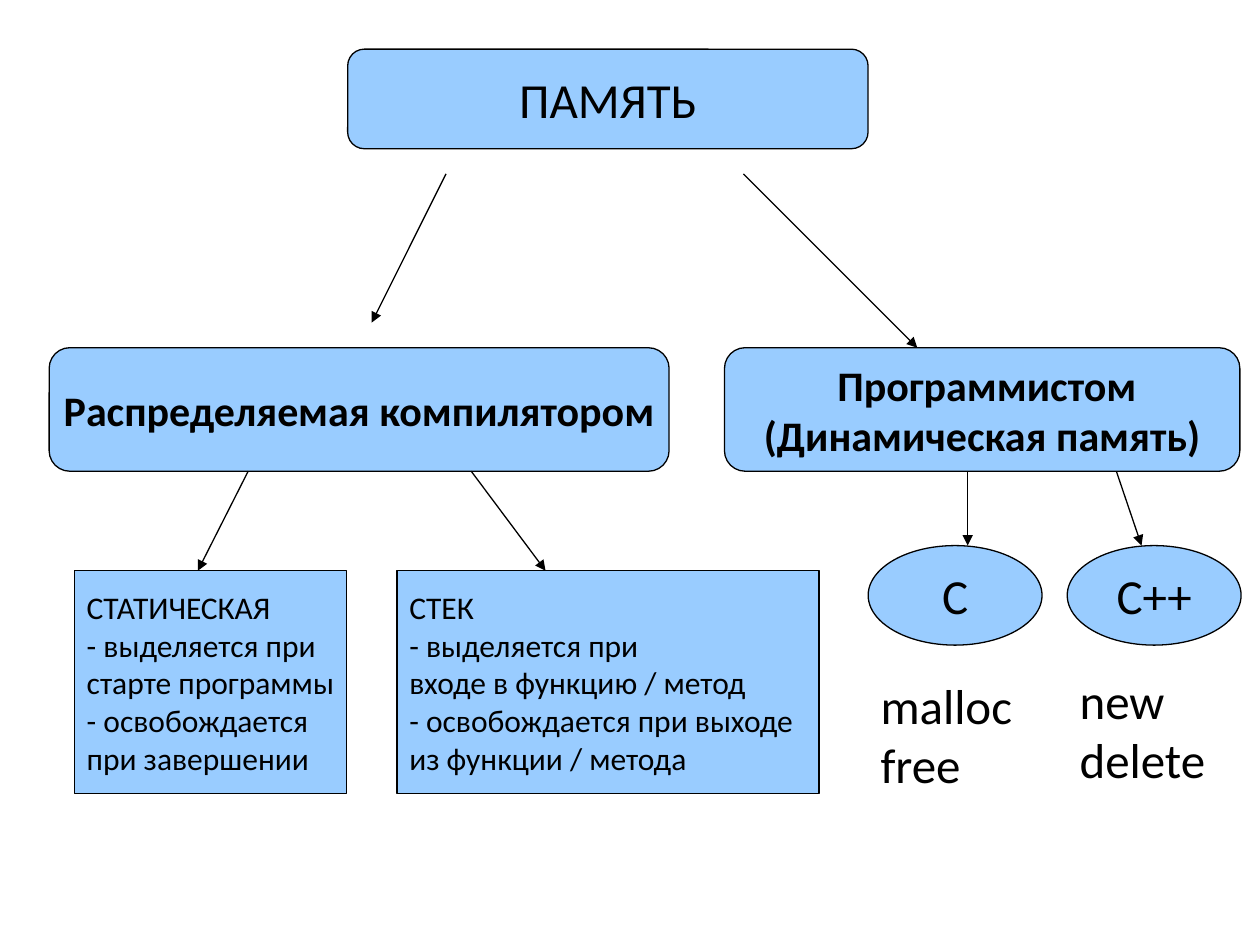
from lxml.etree import SubElement
from pptx import Presentation
from pptx.dml.color import RGBColor
from pptx.enum.shapes import MSO_CONNECTOR, MSO_SHAPE
from pptx.enum.text import MSO_ANCHOR, PP_ALIGN
from pptx.oxml.ns import qn
from pptx.util import Inches, Pt

BLUE = RGBColor(0x99, 0xCC, 0xFF)
BLACK = RGBColor(0, 0, 0)
FONT = "Calibri"


def write_text(sp, lines, size, bold=False, align=PP_ALIGN.LEFT):
    tf = sp.text_frame
    tf.word_wrap = False
    tf.text = "\n".join(lines)
    for p in tf.paragraphs:
        p.alignment = align
        p.font.name = FONT
        p.font.size = Pt(size)
        p.font.bold = bold
        p.font.color.rgb = BLACK


def add_node(s, kind, box, lines, size, bold=False, align=PP_ALIGN.CENTER):
    sp = s.shapes.add_shape(kind, *map(Inches, box))
    sp.shadow.inherit = False
    sp.fill.solid()
    sp.fill.fore_color.rgb = BLUE
    sp.line.color.rgb = BLACK
    sp.line.width = Pt(0.75)
    sp.text_frame.vertical_anchor = MSO_ANCHOR.MIDDLE
    write_text(sp, lines, size, bold, align)


def add_label(s, box, lines):
    tb = s.shapes.add_textbox(*map(Inches, box))
    write_text(tb, lines, 28)


def add_arrow(s, x1, y1, x2, y2):
    line = s.shapes.add_connector(MSO_CONNECTOR.STRAIGHT, *map(Inches, (x1, y1, x2, y2)))
    line.line.color.rgb = BLACK
    line.line.width = Pt(0.75)
    SubElement(line.line._get_or_add_ln(), qn("a:tailEnd"), type="triangle")
    SubElement(line._element.spPr, qn("a:effectLst"))


def main():
    prs = Presentation()
    prs.slide_width, prs.slide_height = Inches(10), Inches(7.5)
    s = prs.slides.add_slide(prs.slide_layouts[6])
    rounded, rect, oval = MSO_SHAPE.ROUNDED_RECTANGLE, MSO_SHAPE.RECTANGLE, MSO_SHAPE.OVAL

    # Root and the two ways of allocating memory
    add_node(s, rounded, (2.76, 0.39, 4.13, 0.79), ["ПАМЯТЬ"], 28)
    add_node(s, rounded, (0.39, 2.76, 4.92, 0.98), ["Распределяемая компилятором"], 24, bold=True)
    add_node(s, rounded, (5.75, 2.76, 4.09, 0.98),
             [" Программистом", "(Динамическая память)"], 24, bold=True)

    # Memory managed by the compiler
    add_node(s, rect, (0.59, 4.53, 2.16, 1.77),
             ["СТАТИЧЕСКАЯ", "- выделяется при", "старте программы",
              "- освобождается", "при завершении"], 18, align=PP_ALIGN.LEFT)
    add_node(s, rect, (3.15, 4.53, 3.35, 1.77),
             ["СТЕК", "- выделяется при", "входе в функцию / метод",
              "- освобождается при выходе", "из функции / метода"], 18, align=PP_ALIGN.LEFT)

    # Languages and their memory operators
    add_node(s, oval, (6.89, 4.33, 1.38, 0.79), ["С"], 28)
    add_node(s, oval, (8.47, 4.33, 1.38, 0.79), ["С++"], 28)
    add_label(s, (6.89, 5.31, 1.24, 1.03), ["malloc", "free"])
    add_label(s, (8.47, 5.27, 1.2, 1.03), ["new", "delete"])

    # Arrows from each parent to its children
    for ends in [(3.54, 1.38, 2.95, 2.56), (5.9, 1.38, 7.28, 2.76),
                 (1.97, 3.74, 1.57, 4.53), (3.74, 3.74, 4.33, 4.53),
                 (7.68, 3.74, 7.68, 4.33), (8.86, 3.74, 9.06, 4.33)]:
        add_arrow(s, *ends)

    prs.save("out.pptx")


if __name__ == "__main__":
    main()
